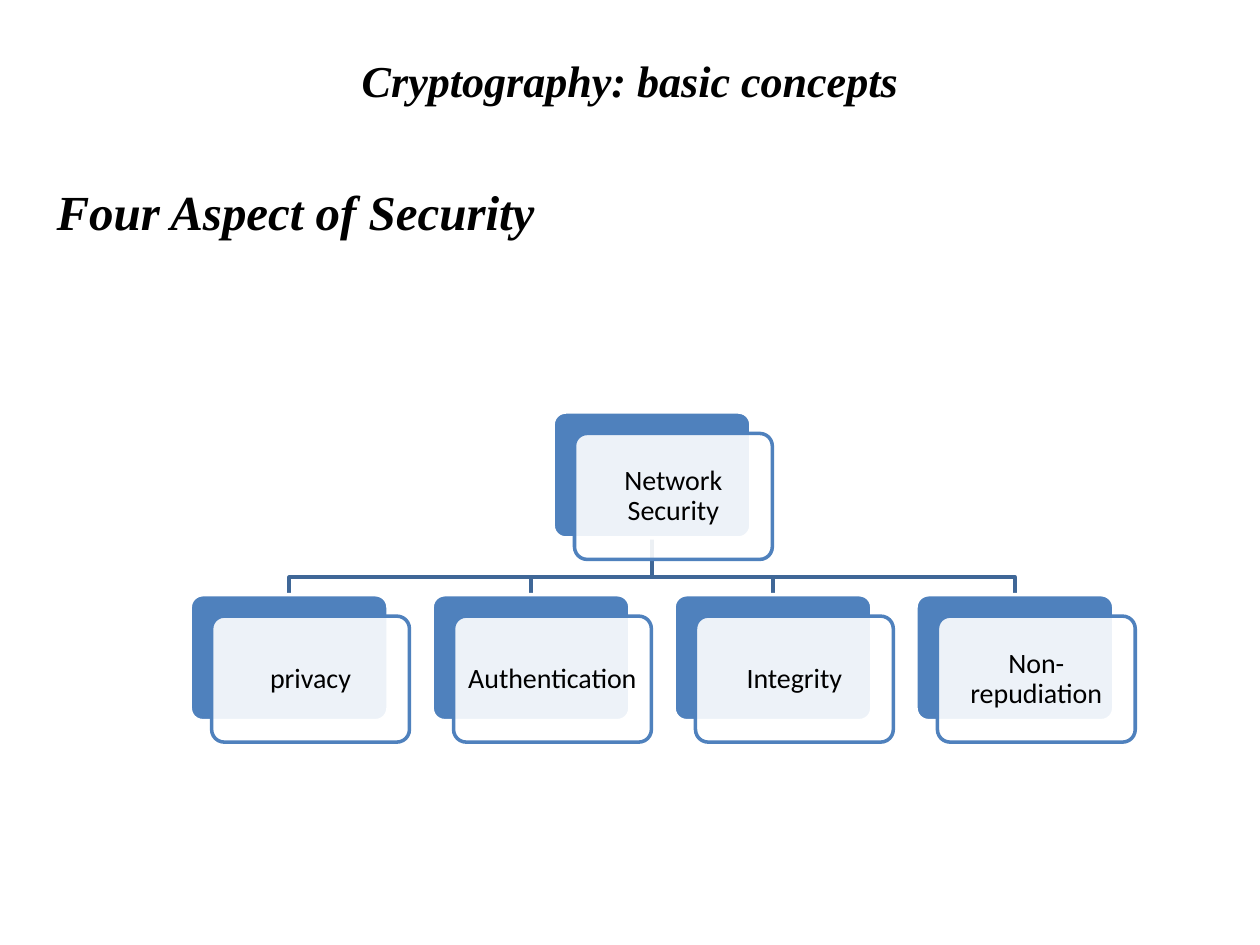
from lxml import etree
from pptx import Presentation
from pptx.dml.color import RGBColor
from pptx.enum.shapes import MSO_SHAPE
from pptx.enum.text import MSO_ANCHOR, MSO_AUTO_SIZE, PP_ALIGN
from pptx.oxml.ns import qn
from pptx.util import Inches, Pt

ROUND = MSO_SHAPE.ROUNDED_RECTANGLE
TOP, MIDDLE = MSO_ANCHOR.TOP, MSO_ANCHOR.MIDDLE
CENTER, JUSTIFY = PP_ALIGN.CENTER, PP_ALIGN.JUSTIFY
NO_FIT = MSO_AUTO_SIZE.NONE

BLACK = RGBColor(0x00, 0x00, 0x00)
WHITE = RGBColor(0xFF, 0xFF, 0xFF)
BLUE = RGBColor(0x4F, 0x81, 0xBD)
NAVY = RGBColor(0x3F, 0x67, 0x97)

HEAD = {"name": "Times New Roman", "bold": True, "italic": True}
LABEL = {"name": "Calibri", "size": Pt(16)}

CARD_W, CARD_H = 1.57, 1
SHIFT = 0.17
ROOT_X, ROOT_Y = 4.39, 3.27
LEAF_X, LEAF_Y = 1.51, 4.72
STEP = 1.92
BUS_Y = 4.58
LEAVES = ["privacy", "Authentication", "Integrity", "Non-repudiation"]


def put_text(shape, text, font, align, frame):
    tf = shape.text_frame
    for key, value in {"word_wrap": True, "auto_size": NO_FIT, **frame}.items():
        setattr(tf, key, value)
    para = tf.paragraphs[0]
    para.text = text
    para.alignment = align
    for key, value in font.items():
        setattr(para.runs[0].font, key, value)
    para.runs[0].font.color.rgb = BLACK
    return para


def add_title(slide, text):
    title = slide.shapes.title
    title.left, title.top = Inches(0.5), Inches(0.3)
    title.width, title.height = Inches(9), Inches(1.01)
    frame = {"vertical_anchor": TOP, "margin_top": Inches(0.12)}
    put_text(title, text, {**HEAD, "size": Pt(25.2)}, CENTER, frame)


def add_heading(slide, text):
    box = slide.shapes.add_textbox(
        Inches(0.35), Inches(1.39), Inches(9.29), Inches(5.91))
    para = put_text(box, text, {**HEAD, "size": Pt(28)}, JUSTIFY, {})
    para.space_before = Pt(4)


def add_panel(slide, x, y, fill, line):
    panel = slide.shapes.add_shape(
        ROUND, Inches(x), Inches(y), Inches(CARD_W), Inches(CARD_H))
    panel.adjustments[0] = 0.1
    panel.shadow.inherit = False
    panel.fill.solid()
    panel.fill.fore_color.rgb = fill
    panel.line.color.rgb = line
    panel.line.width = Pt(2)
    return panel


def add_card(slide, x, y, text):
    """Stack a see-through label panel on a solid blue one."""
    add_panel(slide, x, y, BLUE, WHITE)
    front = add_panel(slide, x + SHIFT, y + SHIFT, WHITE, BLUE)
    color = front.fill._xPr.find(qn("a:solidFill"))[0]
    etree.SubElement(color, qn("a:alpha"), val="90000")
    sides = ("left", "right", "top", "bottom")
    frame = {f"margin_{side}": Inches(0.07) for side in sides}
    frame["vertical_anchor"] = MIDDLE
    put_text(front, text, LABEL, CENTER, frame).line_spacing = 0.9


def add_branch(slide, x):
    """Draw the bent line from the root card to the leaf card at x."""
    start, end = ROOT_X + CARD_W / 2, x + CARD_W / 2
    points = [(start, BUS_Y), (end, BUS_Y), (end, LEAF_Y)]
    form = slide.shapes.build_freeform(
        Inches(start), Inches(ROOT_Y + CARD_H))
    form.add_line_segments(
        [(Inches(px), Inches(py)) for px, py in points], close=False)
    branch = form.convert_to_shape()
    branch.shadow.inherit = False
    branch.fill.background()
    branch.line.color.rgb = NAVY
    branch.line.width = Pt(2)


def main():
    deck = Presentation()
    deck.slide_width, deck.slide_height = Inches(10), Inches(7.5)
    slide = deck.slides.add_slide(deck.slide_layouts[5])
    add_title(slide, "Cryptography: basic concepts")
    add_heading(slide, "Four Aspect of Security")
    spots = [LEAF_X + i * STEP for i in range(len(LEAVES))]
    for x in reversed(spots):
        add_branch(slide, x)
    add_card(slide, ROOT_X, ROOT_Y, "Network Security")
    for x, text in zip(spots, LEAVES):
        add_card(slide, x, LEAF_Y, text)
    deck.save("out.pptx")


if __name__ == "__main__":
    main()
